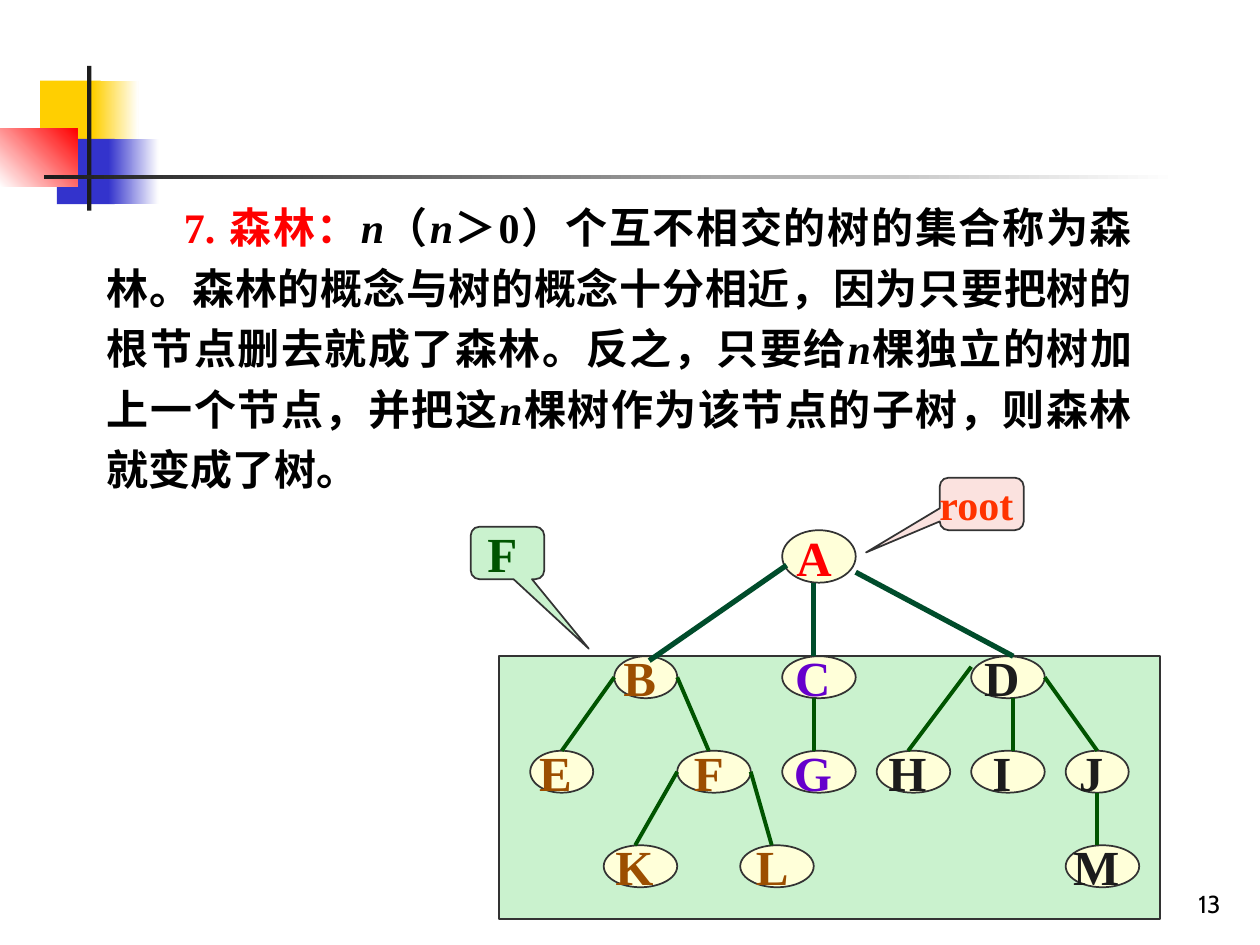
import pptx
import pptx.dml.color
import pptx.enum.shapes
import pptx.enum.text
import pptx.oxml.ns
import pptx.util
import lxml.etree

Pt = pptx.util.Pt
SHAPE = pptx.enum.shapes.MSO_SHAPE
ALIGN = pptx.enum.text.PP_ALIGN
ANCHOR = pptx.enum.text.MSO_ANCHOR

RED, BLACK, INK = "FF0000", "000000", "1C1C1C"
BROWN, PURPLE, GREEN = "9C4E00", "6600CC", "005400"
YELLOW, BLUE, WHITE = "FFCF01", "3333CC", "FFFFFF"
CREAM, PINK, MINT = "FFFFD9", "FBE2DF", "CAF2CE"


def rgb(value):
    return pptx.dml.color.RGBColor.from_string(value)


def write(frame, runs, align=ALIGN.CENTER, anchor=ANCHOR.MIDDLE, wrap=False,
          size=28, font="Times New Roman", bold=True, spacing=None, indent=0):
    """Fill a frame with one paragraph of (text, colour, italic) runs."""
    frame.word_wrap = wrap
    frame.vertical_anchor = anchor
    paragraph = frame.paragraphs[0]
    paragraph.alignment = align
    paragraph.line_spacing = spacing
    if indent:
        paragraph._p.get_or_add_pPr().set("indent", str(Pt(indent)))
    for text, colour, italic in runs:
        run = paragraph.add_run()
        run.text = text
        run.font.name = font
        run.font.size = Pt(size)
        run.font.bold = bold
        run.font.italic = italic
        run.font.color.rgb = rgb(colour)


class Canvas:
    outline = "333333"

    def __init__(self, slide):
        self.shapes = slide.shapes

    def shape(self, kind, box, fill, line=True):
        item = self.shapes.add_shape(kind, *map(Pt, box))
        item.shadow.inherit = False
        item.fill.solid()
        item.fill.fore_color.rgb = rgb(fill)
        if line:
            item.line.color.rgb = rgb(self.outline)
            item.line.width = Pt(1)
        else:
            item.line.fill.background()
        return item

    def fade(self, box, start, end, angle=0):
        item = self.shape(SHAPE.RECTANGLE, box, start, line=False)
        item.fill.gradient()
        item.fill.gradient_angle = angle
        for stop, colour in zip(item.fill.gradient_stops, (start, end)):
            stop.color.rgb = rgb(colour)

    def node(self, letter, box, colour):
        # The trailing space sets the letter a little left of centre
        item = self.shape(SHAPE.OVAL, box, CREAM)
        write(item.text_frame, [(letter + " ", colour, False)])

    def callout(self, label, box, tip, fill, colour, size):
        item = self.shape(SHAPE.ROUNDED_RECTANGULAR_CALLOUT, box, fill)
        item.adjustments[0], item.adjustments[1] = tip
        write(item.text_frame, [(label + " ", colour, False)], size=size)

    def branch(self, start, end, colour=GREEN, width=2.25):
        line = self.shapes.add_connector(
            pptx.enum.shapes.MSO_CONNECTOR.STRAIGHT, *map(Pt, start + end))
        line.line.color.rgb = rgb(colour)
        line.line.width = Pt(width)
        lxml.etree.SubElement(line._element.spPr, pptx.oxml.ns.qn("a:effectLst"))

    def text(self, box, runs, **style):
        item = self.shapes.add_textbox(*map(Pt, box))
        write(item.text_frame, runs, wrap=True, **style)


def main():
    deck = pptx.Presentation()
    deck.slide_width, deck.slide_height = Pt(720), Pt(540)
    canvas = Canvas(deck.slides.add_slide(deck.slide_layouts[6]))

    # Corner ornament and rule
    canvas.shape(SHAPE.RECTANGLE, (23, 46.1, 34.5, 37.4), YELLOW, line=False)
    canvas.fade((53.3, 46.1, 25.9, 37.4), YELLOW, WHITE)
    canvas.shape(SHAPE.RECTANGLE, (32.5, 79.3, 33.1, 37.4), BLUE, line=False)
    canvas.fade((61.9, 79.3, 28.8, 37.4), BLUE, WHITE)
    canvas.fade((0, 73.3, 44.2, 33.4), WHITE, RED, angle=45)
    canvas.shape(SHAPE.RECTANGLE, (49.8, 37.6, 2.5, 82.8), INK, line=False)
    canvas.fade((25.2, 99.9, 648, 2.5), INK, WHITE)

    # Definition
    canvas.text((54, 106, 600, 180), [
        ("7. 森林：", RED, False),
        ("n", BLACK, True),
        ("（", BLACK, False),
        ("n", BLACK, True),
        ("＞0）个互不相交的树的集合称为森林。森林的概念与树的概念十分相近，"
         "因为只要把树的根节点删去就成了森林。反之，只要给", BLACK, False),
        ("n", BLACK, True),
        ("棵独立的树加上一个节点，并把这", BLACK, False),
        ("n", BLACK, True),
        ("棵树作为该节点的子树，则森林就变成了树。", BLACK, False),
    ], align=ALIGN.JUSTIFY, anchor=ANCHOR.TOP, size=24, spacing=1.2, indent=44)

    # Root and forest area
    canvas.node("A", (447, 303, 42, 30), RED)
    canvas.callout("root", (537, 273, 48, 30), (-1.378, 0.925), PINK, "FF3300", 24)
    canvas.shape(SHAPE.RECTANGLE, (285, 375, 378, 150), MINT)

    # Forest nodes: letter -> (left, level, width, colour)
    top, pitch, height = 375, 54, 24
    nodes = {
        "B": (351, 0, 36, BROWN), "E": (303, 1, 36, BROWN),
        "F": (387, 1, 42, BROWN), "K": (345, 2, 42, BROWN),
        "L": (423, 2, 42, BROWN), "C": (447, 0, 42, PURPLE),
        "G": (447, 1, 42, PURPLE), "D": (555, 0, 42, INK),
        "H": (501, 1, 42, INK), "I": (555, 1, 42, INK),
        "J": (609, 1, 36, INK), "M": (609, 2, 42, INK),
    }
    for letter, (left, level, width, colour) in nodes.items():
        canvas.node(letter, (left, top + level * pitch, width, height), colour)

    # Branches inside the forest: child, start point, offset from child's left
    for child, start, offset in [
        ("E", (351, 387), 18), ("F", (387, 387), 18), ("K", (387, 441), 18),
        ("L", (429, 441), 18), ("G", (465, 399), 18), ("H", (555, 381), 18),
        ("I", (579, 399), 24), ("J", (597, 387), 18), ("M", (627, 453), 18),
    ]:
        left, level = nodes[child][:2]
        canvas.branch(start, (left + offset, top + level * pitch))

    # Forest label and branches from the root
    canvas.callout("F", (269, 301, 42, 30), (1.107, 1.825), MINT, GREEN, 28)
    for start, end in [((449.5, 323), (371, 377.5)), ((465, 333), (465, 375)),
                       ((489, 327), (579, 375))]:
        canvas.branch(start, end, colour="004C2B", width=3)

    # Slide number
    canvas.text((554.5, 492, 150, 36), [("13", BLACK, False)], align=ALIGN.RIGHT,
                anchor=ANCHOR.BOTTOM, size=14, font="Cabin", bold=False, spacing=0.8)

    deck.save("out.pptx")


if __name__ == "__main__":
    main()
